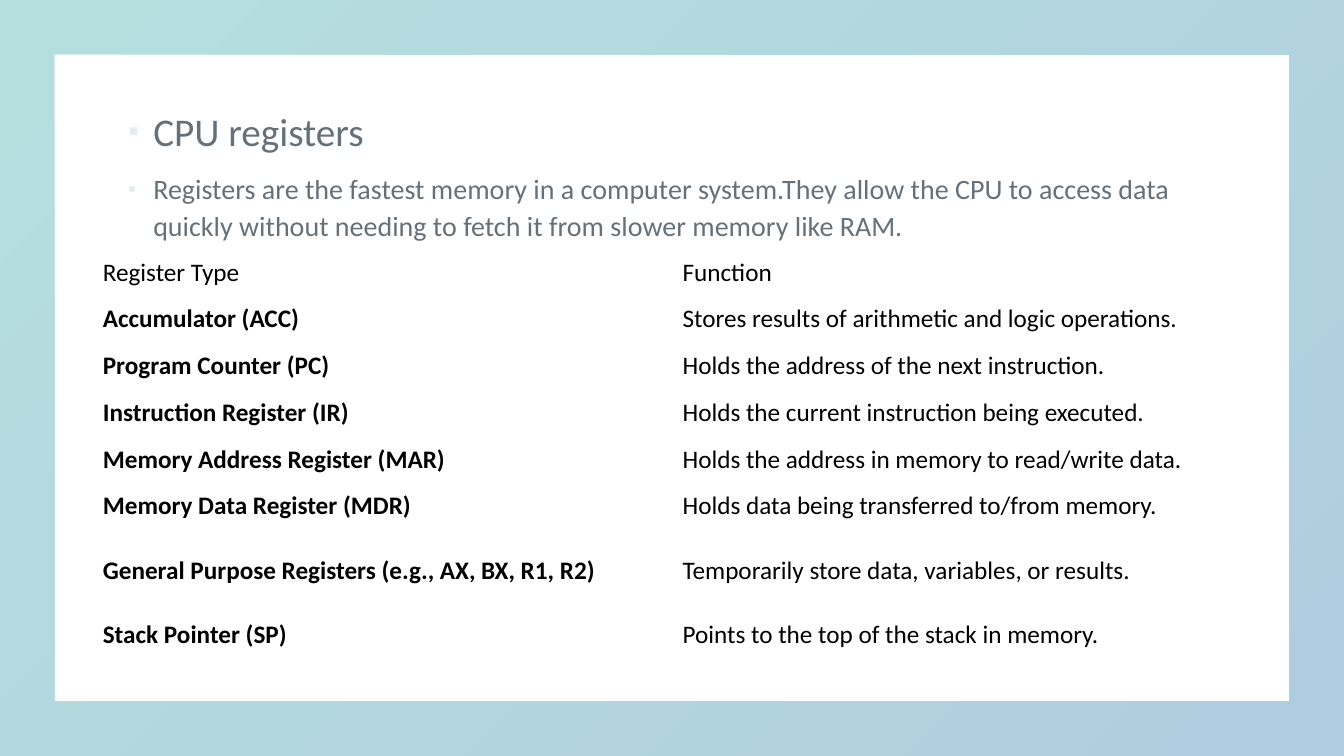
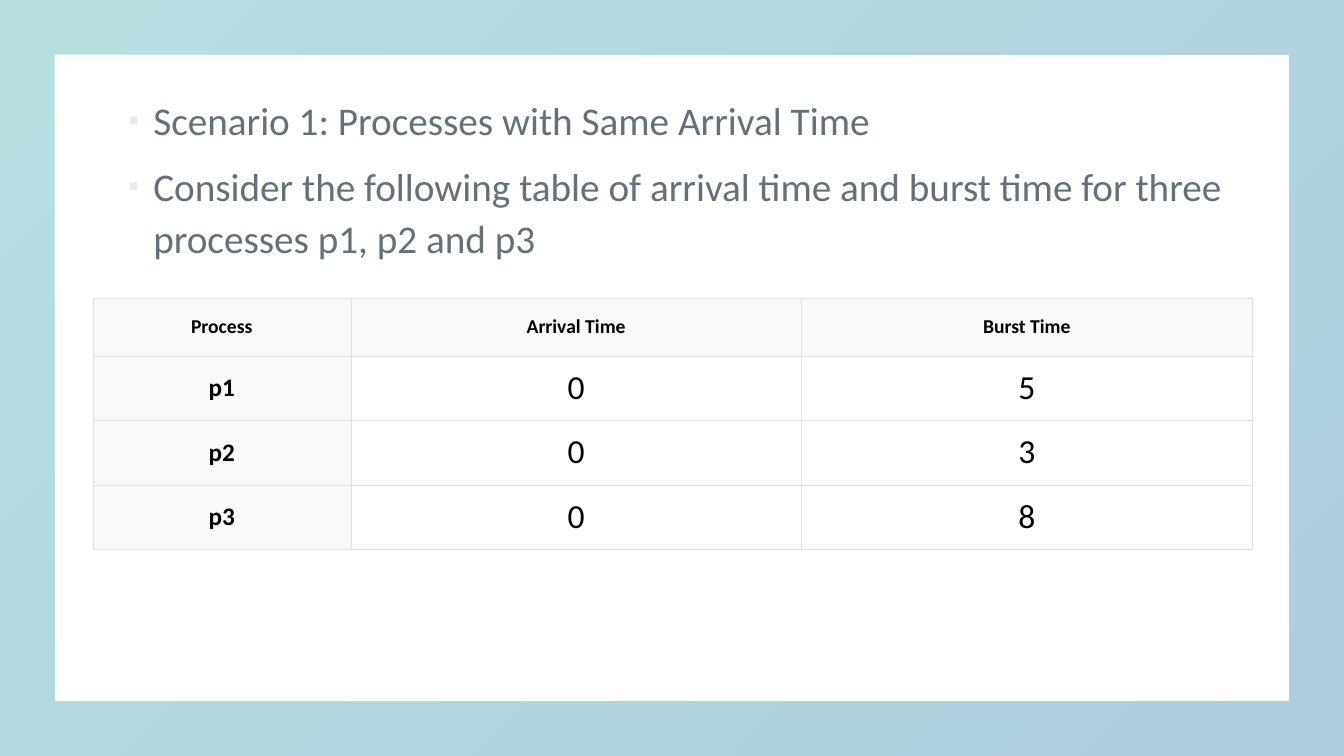
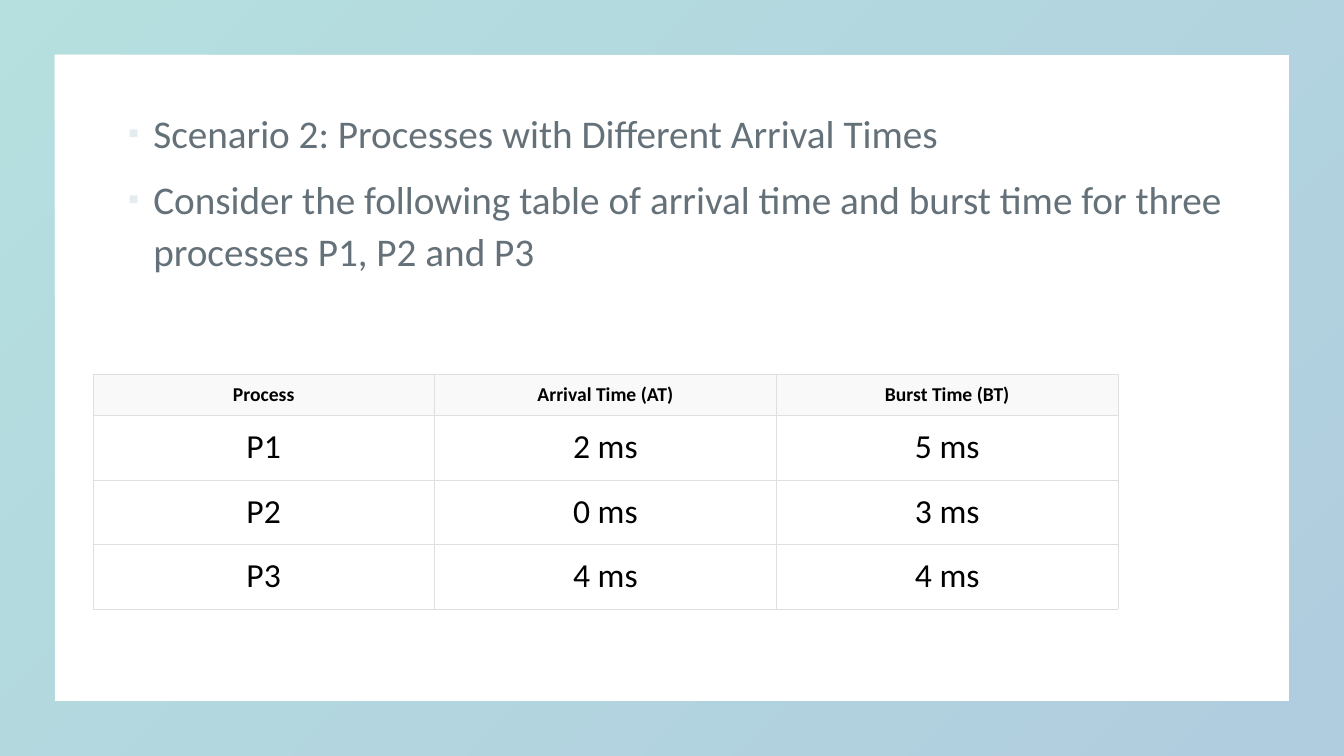
import pptx
import pptx.util
import pptx.dml.color
import pptx.enum.shapes
import pptx.enum.text
import pptx.oxml
import pptx.oxml.ns
from dataclasses import dataclass

Inches, Pt = pptx.util.Inches, pptx.util.Pt
MIDDLE = pptx.enum.text.MSO_ANCHOR.MIDDLE
LEFT = pptx.enum.text.PP_ALIGN.LEFT
CENTER = pptx.enum.text.PP_ALIGN.CENTER

# Shared look
FONT = "Calibri"
INK, BLACK, WHITE = "243541", "000000", "FFFFFF"
BULLET, PALE, RULE = "E5ECF0", "F9F9F9", "DFDFDF"
TEAL, BLUE = "46B2B1", "3B81B1"
WIDE, HIGH = 13.33, 7.5
EDGE, SPAN, FOOT = 0.92, 11.5, 6.76
NO_STYLE = "{2D5ABB26-0587-4C30-8999-92F81FD0307C}"


@dataclass
class Look:
    size: int
    bold: bool = False
    fill: str = ""
    align: int = CENTER
    side: float = 0.08
    top: float = 0.08


PLAIN = Look(18, align=LEFT, side=0.1, top=0.05)
STRONG = Look(18, True, align=LEFT, side=0.1, top=0.05)
HEAD = Look(14, True, PALE)
KEY = Look(18, True, PALE, side=0.04, top=0.03)
VALUE = Look(24, fill=WHITE, top=0.11)


def rgb(code):
    return pptx.dml.color.RGBColor.from_string(code)


def node(xml):
    space = pptx.oxml.ns.nsdecls("a")
    return pptx.oxml.parse_xml(xml.replace(">", f" {space}>", 1)
                               if "/>" not in xml.split(">", 1)[0] + ">"
                               else xml.replace("/>", f" {space}/>", 1))


def fade(colors, part):
    for color in colors:
        color.append(node(f'<a:alpha val="{part * 1000}"/>'))


def write(para, text, size, color, bold=False):
    run = para.add_run()
    run.text = text
    run.font.name, run.font.size, run.font.bold = FONT, Pt(size), bold
    run.font.color.rgb = rgb(color)


def add_frame(slide):
    """Tinted border around the whole slide, behind everything."""
    frame = slide.shapes.add_shape(pptx.enum.shapes.MSO_SHAPE.FRAME, 0, 0,
                                   Inches(WIDE), Inches(HIGH))
    frame.adjustments[0] = 0.072
    frame.shadow.inherit = False
    frame.line.fill.background()
    frame.fill.gradient()
    frame.fill.gradient_angle = 315
    for stop, color, place in zip(frame.fill.gradient_stops, (TEAL, BLUE), (0, 1)):
        stop.color.rgb = rgb(color)
        stop.position = place
    fade(frame.element.xpath(".//a:gs/a:srgbClr"), 40)
    frame.element.getparent().insert(2, frame.element)


def add_points(slide, top, points):
    """Bulleted text, from top down to the foot; points are (text, size)."""
    body = slide.placeholders[1]
    body.left, body.top = Inches(EDGE), Inches(top)
    body.width, body.height = Inches(SPAN), Inches(FOOT - top)
    frame = body.text_frame
    frame.word_wrap = True
    frame.auto_size = pptx.enum.text.MSO_AUTO_SIZE.NONE
    for i, (text, size) in enumerate(points):
        para = frame.add_paragraph() if i else frame.paragraphs[0]
        props = para._p.get_or_add_pPr()
        props.set("marL", str(Inches(0.5)))
        props.set("indent", str(Inches(-0.25)))
        for xml in (f'<a:buClr><a:srgbClr val="{BULLET}"/></a:buClr>',
                    '<a:buSzPct val="80000"/>', '<a:buChar char="▪"/>'):
            props.append(node(xml))
        para.line_spacing = 1.1
        para.space_before = Pt(10 if i else 0)
        write(para, text, size, INK)
    fade(body.element.xpath(".//a:rPr//a:srgbClr"), 70)


def set_cell(cell, text, look, ruled):
    cell.vertical_anchor = MIDDLE
    cell.margin_left = cell.margin_right = Inches(look.side)
    cell.margin_top = cell.margin_bottom = Inches(look.top)
    if ruled:
        for side in "LRTB":
            cell._tc.get_or_add_tcPr().append(node(
                f'<a:ln{side} w="{Pt(0.18)}"><a:solidFill>'
                f'<a:srgbClr val="{RULE}"/></a:solidFill></a:ln{side}>'))
    if look.fill:
        cell.fill.solid()
        cell.fill.fore_color.rgb = rgb(look.fill)
    else:
        cell.fill.background()
    para = cell.text_frame.paragraphs[0]
    para.alignment = look.align
    write(para, text, look.size, BLACK, look.bold)


def add_grid(slide, top, cols, rows, data, pick, ruled=True):
    """Table at the left edge; pick(row, col) gives the look of a cell."""
    shape = slide.shapes.add_table(len(rows), len(cols), Inches(EDGE), Inches(top),
                                   Inches(sum(cols)), Inches(sum(rows)))
    grid = shape.table
    grid.first_row = grid.horz_banding = False
    shape.element.xpath(".//a:tableStyleId")[0].text = NO_STYLE
    for col, width in zip(grid.columns, cols):
        col.width = Inches(width)
    for r, height in enumerate(rows):
        grid.rows[r].height = Inches(height)
        for c, text in enumerate(data[r]):
            set_cell(grid.cell(r, c), text, pick(r, c), ruled)


def new_slide(deck, top, points):
    slide = deck.slides.add_slide(deck.slide_layouts[1])
    title = slide.shapes.title.element
    title.getparent().remove(title)
    add_frame(slide)
    add_points(slide, top, points)
    return slide


def cpu_slide(deck):
    slide = new_slide(deck, 0.97, [
        ("CPU registers", 28),
        ("Registers are the fastest memory in a computer system.They allow the CPU "
         "to access data quickly without needing to fetch it from slower memory "
         "like RAM.", 20)])
    data = [
        ("Register Type", "Function"),
        ("Accumulator (ACC)", "Stores results of arithmetic and logic operations."),
        ("Program Counter (PC)", "Holds the address of the next instruction."),
        ("Instruction Register (IR)", "Holds the current instruction being executed."),
        ("Memory Address Register (MAR)",
         "Holds the address in memory to read/write data."),
        ("Memory Data Register (MDR)", "Holds data being transferred to/from memory."),
        ("General Purpose Registers (e.g., AX, BX, R1, R2)",
         "Temporarily store data, variables, or results."),
        ("Stack Pointer (SP)", "Points to the top of the stack in memory."),
    ]
    tall = 0.81
    rows = [(4.06 - tall) / 7] * 8
    rows[6] = tall
    add_grid(slide, 2.47, [SPAN / 2] * 2, rows, data,
             lambda r, c: STRONG if r and not c else PLAIN, ruled=False)


def case_slide(deck, top, name, procs, grid_top, cols, head, data, keyed):
    """Scenario with its table of arrival and burst times."""
    slide = new_slide(deck, top, [
        (name, 28),
        ("Consider the following table of arrival time and burst time for three "
         f"processes {procs}", 28)])

    def pick(r, c):
        if not r:
            return HEAD
        return KEY if keyed and not c else VALUE

    add_grid(slide, grid_top, cols, [head] + [0.64] * 3, data, pick)


def main():
    deck = pptx.Presentation()
    deck.slide_width, deck.slide_height = Inches(WIDE), Inches(HIGH)
    cpu_slide(deck)
    case_slide(deck, 0.86, "Scenario 1: Processes with Same Arrival Time",
               "p1, p2 and p3", 2.96, [2.56, 4.47, 4.47], 0.57,
               [("Process", "Arrival Time", "Burst Time"),
                ("p1", "0", "5"), ("p2", "0", "3"), ("p3", "0", "8")], True)
    case_slide(deck, 0.99, "Scenario 2: Processes with Different Arrival Times",
               "P1, P2 and P3", 3.71, [3.39] * 3, 0.41,
               [("Process", "Arrival Time (AT)", "Burst Time (BT)"),
                ("P1", "2 ms", "5 ms"), ("P2", "0 ms", "3 ms"),
                ("P3", "4 ms", "4 ms")], False)
    deck.save("out.pptx")


if __name__ == "__main__":
    main()
